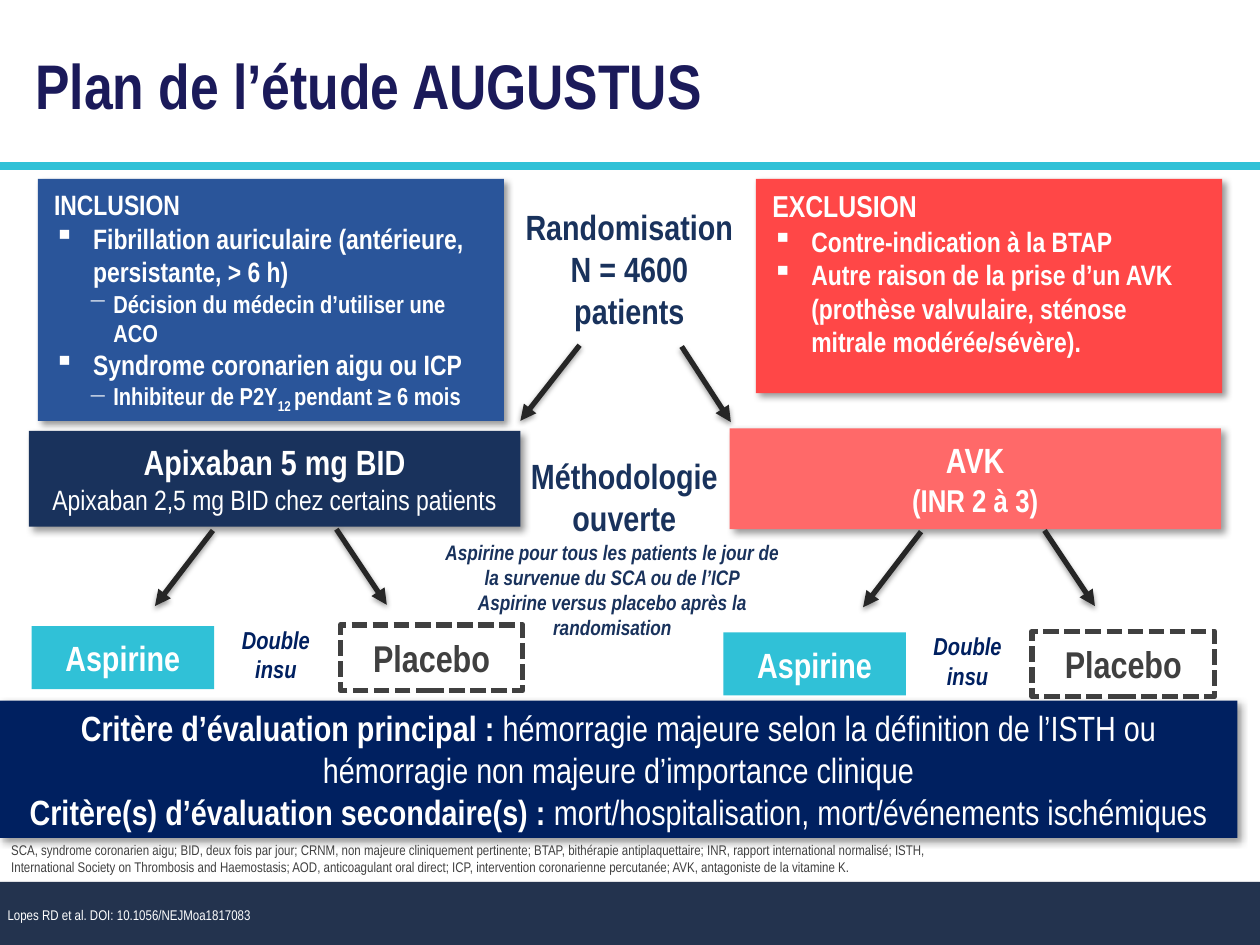
from lxml import etree
from pptx import Presentation
from pptx import util as u
from pptx.dml import color
from pptx.enum import dml, shapes, text
from pptx.oxml import ns

HUES = {
    "white": "FFFFFF", "bar": "23334E", "cyan": "30C1D7", "title": "1B1A5A",
    "blue": "2A559A", "red": "FF4747", "navy": "19325C", "rose": "FF6969",
    "deep": "002060", "gray": "404040", "dark": "262626", "black": "000000",
}
MID = text.MSO_ANCHOR.MIDDLE
TOP = text.MSO_ANCHOR.TOP
LEFT = text.PP_ALIGN.LEFT
MAIN = text.PP_ALIGN.CENTER
BOX = (0.13, 0.08)
NOTE = (0.13, 0.06)
PLAIN = (0.1, 0.05)
CARD = (40, 4, 3, 45)
SOFT = (38, 3.1, 1.6, 90)
SQUARE = ("▪", 0.31, 0.31)
DASH = ("−", 0.47, 0.2)


def add(node, tag, **attrs):
    child = etree.SubElement(node, ns.qn(tag))
    for key, val in attrs.items():
        child.set(key, str(val))
    return child


class Deck:
    face = "Arial Narrow"

    def __init__(self, slide):
        self.slide = slide
        self.home = slide.shapes

    def hue(self, name):
        return color.RGBColor.from_string(HUES[name])

    def shade(self, item, cast=None):
        fx = add(item._element.spPr, "a:effectLst")
        if cast:
            alpha, blur, dist, turn = cast
            drop = add(fx, "a:outerShdw", blurRad=u.Pt(blur), dist=u.Pt(dist),
                       dir=turn * 60000, algn="ctr", rotWithShape=0)
            ink = add(drop, "a:srgbClr", val=HUES["black"])
            add(ink, "a:alpha", val=alpha * 1000)

    def bullet(self, para, mark):
        sign, left, hang = mark
        props = para._p.get_or_add_pPr()
        props.set("marL", str(u.Inches(left)))
        props.set("indent", str(-u.Inches(hang)))
        add(add(props, "a:buClr"), "a:srgbClr", val=HUES["white"])
        add(props, "a:buChar", char=sign)

    def label(self, item, rows, hue, pad=PLAIN, align=MAIN, anchor=TOP):
        frame = item.text_frame
        frame.word_wrap = True
        frame.auto_size = text.MSO_AUTO_SIZE.NONE
        frame.vertical_anchor = anchor
        frame.margin_left = frame.margin_right = u.Inches(pad[0])
        frame.margin_top = frame.margin_bottom = u.Inches(pad[1])
        for num, (mark, *parts) in enumerate(rows):
            para = frame.add_paragraph() if num else frame.paragraphs[0]
            para.alignment = align
            if mark:
                self.bullet(para, mark)
            for words, size, style in parts:
                run = para.add_run()
                run.text = words
                font = run.font
                font.name = self.face
                font.size = u.Pt(size)
                font.bold = "b" in style
                font.italic = "i" in style
                font.color.rgb = self.hue(hue)
                if "s" in style:
                    run._r.get_or_add_rPr().set("baseline", "-25000")

    def title(self, at, words, size, hue):
        item = self.slide.shapes.title
        item.left, item.top, item.width, item.height = map(u.Inches, at)
        self.label(item, [(None, (words, size, "b"))], hue, align=LEFT)

    def note(self, at, rows, hue, **look):
        item = self.home.add_textbox(*map(u.Inches, at))
        self.label(item, rows, hue, **look)

    def block(self, at, fill=None, rows=(), hue="white", cast=None,
              edge=None, **look):
        item = self.home.add_shape(shapes.MSO_SHAPE.RECTANGLE,
                                   *map(u.Inches, at))
        if fill:
            item.fill.solid()
            item.fill.fore_color.rgb = self.hue(fill)
        else:
            item.fill.background()
        if edge:
            item.line.color.rgb = self.hue(edge)
            item.line.width = u.Pt(3)
            item.line.dash_style = dml.MSO_LINE.SQUARE_DOT
        else:
            item.line.fill.background()
        self.shade(item, cast)
        if rows:
            self.label(item, rows, hue, **look)

    def line(self, ends, hue, wide, cast=None, head=False):
        item = self.home.add_connector(shapes.MSO_CONNECTOR.STRAIGHT,
                                       *map(u.Inches, ends))
        item.line.color.rgb = self.hue(hue)
        item.line.width = u.Pt(wide)
        if head:
            add(item._element.spPr.find(ns.qn("a:ln")), "a:tailEnd",
                type="triangle")
        self.shade(item, cast)

    def arrow(self, *ends):
        self.line(ends, "dark", 3, SOFT, True)

    def arm(self, x, y):
        self.home = self.slide.shapes.add_group_shape().shapes
        self.block((x, y, 1.45, 0.5), "cyan", [(None, ("Aspirine", 20, "b"))],
                   pad=BOX, anchor=MID)
        self.block((x + 2.45, y - 0.01, 1.45, 0.52), None,
                   [(None, ("Placebo", 21.3, "b"))], "gray", edge="gray",
                   pad=BOX, anchor=MID)
        self.note((x + 1.44, y - 0.06, 1, 0.57),
                  [(None, (word, 14, "bi")) for word in ("Double", "insu")],
                  "deep")
        self.home = self.slide.shapes


def main():
    prs = Presentation()
    prs.slide_width, prs.slide_height = u.Inches(10), u.Inches(7.5)
    deck = Deck(prs.slides.add_slide(prs.slide_layouts[5]))

    deck.block((0, 7, 10, 0.5), "bar", cast=(35, 3.1, 1.8, 90))
    deck.line((0, 1.32, 10, 1.32), "cyan", 4.5)
    deck.title((0.18, 0.32, 7.51, 0.71), "Plan de l’étude AUGUSTUS", 36, "title")
    deck.note((0.06, 7.03, 8.11, 0.46),
              [(None, ("Lopes RD et al. DOI: 10.1056/NEJMoa1817083", 8, ""))],
              "white", pad=(0, 0), align=LEFT, anchor=MID)

    deck.block((0.3, 1.42, 3.7, 1.92), "blue", [
        (None, ("INCLUSION", 16, "b")),
        (SQUARE, ("Fibrillation auriculaire (antérieure, persistante, > 6 h)",
                  16, "b")),
        (DASH, ("Décision du médecin d’utiliser une ACO", 14, "b")),
        (SQUARE, ("Syndrome coronarien aigu ou ICP", 16, "b")),
        (DASH, ("Inhibiteur de P2Y", 14, "b"), ("12 ", 14, "bs"),
         ("pendant ≥ 6 mois", 14, "b")),
    ], cast=CARD, pad=(0.13, 0.07), align=LEFT)
    deck.block((6, 1.42, 3.7, 1.7), "red", [
        (None, ("EXCLUSION", 17.3, "b")),
        (SQUARE, ("Contre-indication à la BTAP", 16, "b")),
        (SQUARE, ("Autre raison de la prise d’un AVK (prothèse valvulaire, "
                  "sténose mitrale modérée/sévère).", 16, "b")),
    ], cast=CARD, pad=(0.13, 0.07), align=LEFT)

    deck.block((0.23, 3.42, 3.9, 0.76), "navy", [
        (None, ("Apixaban 5 mg BID", 20, "b")),
        (None, ("Apixaban 2,5 mg BID chez certains patients", 16, "")),
    ], cast=CARD, pad=BOX, anchor=MID)
    deck.block((5.79, 3.4, 3.9, 0.8), "rose", [
        (None, ("AVK", 20, "b")), (None, ("(INR 2 à 3)", 18, "b")),
    ], cast=CARD, pad=BOX, anchor=MID)
    deck.arm(0.25, 4.97)
    deck.arm(5.74, 5.02)

    deck.note((4, 1.57, 1.99, 1.14),
              [(None, (word, 20, "b"))
               for word in ("Randomisation", "N = 4600", "patients")],
              "navy", pad=NOTE)
    deck.arrow(4.6, 2.74, 4.13, 3.34)
    deck.arrow(5.41, 2.75, 5.8, 3.35)
    deck.note((4.11, 3.56, 1.69, 0.77),
              [(None, ("Méthodologie ouverte", 20, "b"))], "navy")
    deck.note((3.4, 4.22, 2.92, 0.94), [
        (None, ("Aspirine pour tous les patients le jour de la survenue "
                "du SCA ou de l’ICP", 12, "bi")),
        (None, ("Aspirine versus placebo après la randomisation", 12, "bi")),
    ], "navy", pad=NOTE)
    for x, y in ((1.69, 4.21), (7.31, 4.22)):
        deck.arrow(x, y, x - 0.46, y + 0.6)
        deck.arrow(x + 0.98, y - 0.01, x + 1.38, y + 0.59)

    deck.block((0, 5.56, 9.82, 1.09), "deep", [
        (None, ("Critère d’évaluation principal : ", 20, "b"),
         ("hémorragie majeure selon la définition de l’ISTH ou hémorragie "
          "non majeure d’importance clinique", 20, "")),
        (None, ("Critère(s) d’évaluation secondaire(s) : ", 20, "b"),
         ("mort/hospitalisation, mort/événements ischémiques", 20, "")),
    ], cast=CARD, pad=(0.13, 0.04), anchor=MID)
    deck.note((-0.01, 6.63, 7.85, 0.37), [
        (None, ("SCA, syndrome coronarien aigu; BID, deux fois par jour; CRNM, "
                "non majeure cliniquement pertinente; BTAP, bithérapie "
                "antiplaquettaire; INR, rapport international normalisé; ISTH, "
                "International Society on Thrombosis and Haemostasis; AOD, "
                "anticoagulant oral direct; ICP, intervention coronarienne "
                "percutanée; AVK, antagoniste de la vitamine K.", 8, "")),
    ], "gray", align=LEFT)
    prs.save("out.pptx")


if __name__ == "__main__":
    main()
